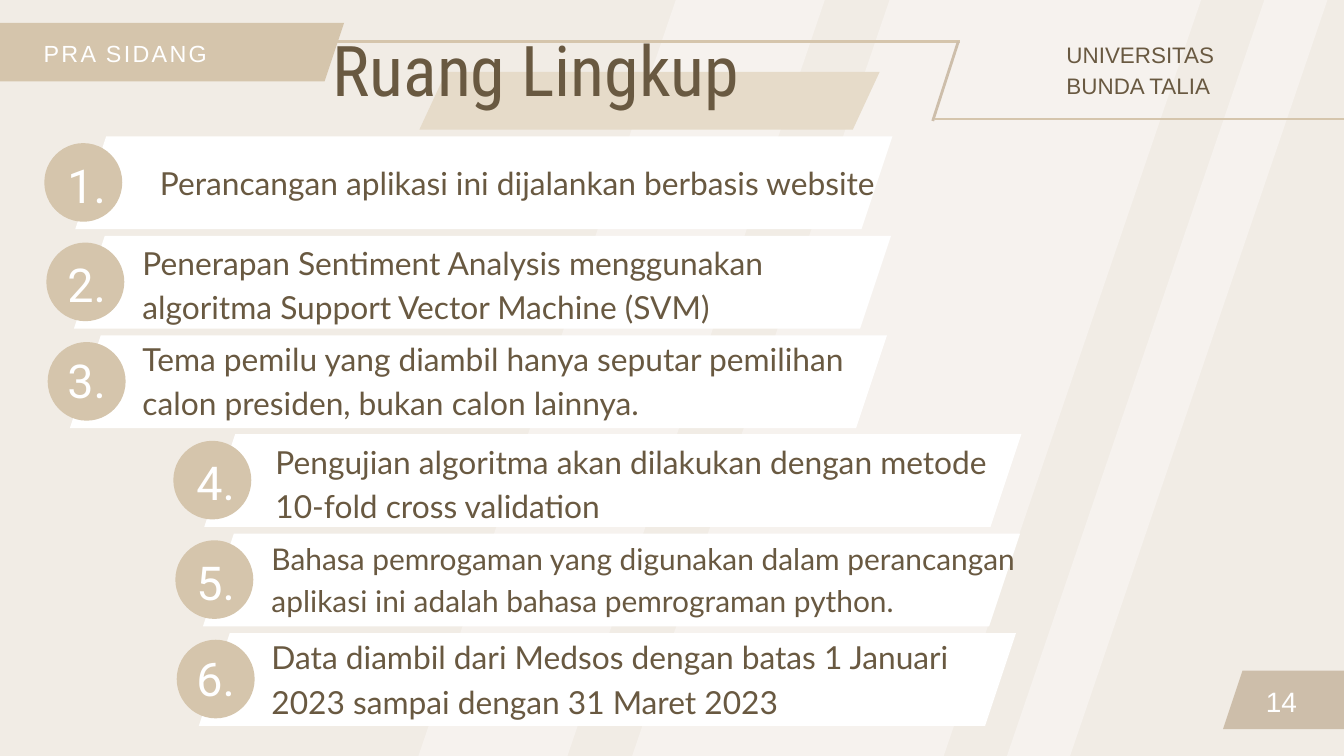
import pptx
import pptx.util
import pptx.dml.color
import pptx.enum.shapes
import pptx.enum.text
import pptx.oxml.ns
import lxml.etree

SHAPES = pptx.enum.shapes.MSO_SHAPE
ALIGN = pptx.enum.text.PP_ALIGN
PX = 9144
BROWN, WHITE, TAN, DARK_TAN = "695941", "FFFFFF", "D5C5AC", "CDBEAA"

STRIPES = [(817, -107, 210, 1357), (1145, -151, 439, 1424), (1696, -149, 89, 1402)]
HEADER_LINES = [
    (486, 62, 1428, 62, TAN),
    (1391, 177, 2038, 177, TAN),
    (1388, 180, 1426, 62, DARK_TAN),
]
ITEMS = [
    ("Perancangan aplikasi ini dijalankan berbasis website", (238, 235, 1067, 64), 34),
    ("Penerapan Sentiment Analysis menggunakan algoritma Support Vector Machine (SVM)",
     (212, 353, 1080, 130), 34),
    ("Tema pemilu yang diambil hanya seputar pemilihan calon presiden, bukan calon lainnya.",
     (212, 496, 1075, 130), 34),
    ("Pengujian algoritma akan dilakukan dengan metode 10-fold cross validation",
     (410, 649, 1067, 130), 34),
    ("Bahasa pemrogaman yang digunakan dalam perancangan aplikasi ini adalah bahasa "
     "pemrograman python.", (404, 796, 1168, 120), 32),
    ("Data diambil dari Medsos dengan batas 1 Januari 2023 sampai dengan 31 Maret 2023",
     (404, 940, 1075, 130), 34),
]
ROWS_PER_GROUP = 3
GROUP_SHIFT = 192
FIRST_TOP, ROW_STEP = 203, 147.8
BAR_LEFTS = [112, 110, 104]
CIRCLE_LEFTS = [66, 69, 71]
NUMBER_OFFSETS = [16, 16, 11]

presentation = pptx.Presentation()
presentation.slide_width = 2000 * PX
presentation.slide_height = 1125 * PX
slide = presentation.slides.add_slide(presentation.slide_layouts[6])


def color(value):
    return pptx.dml.color.RGBColor.from_string(value)


def add_filled(kind, box, fill, rotation=0, slant=None):
    shape = slide.shapes.add_shape(kind, *[value * PX for value in box])
    shape.shadow.inherit = False
    shape.fill.solid()
    shape.fill.fore_color.rgb = color(fill)
    shape.line.fill.background()
    shape.rotation = rotation
    if slant is not None:
        shape.adjustments[0] = slant / box[3]


def add_text(text, box, size, font, fill=BROWN, align=ALIGN.LEFT, tracking=None):
    frame = slide.shapes.add_textbox(*[value * PX for value in box]).text_frame
    frame.word_wrap = True
    frame.auto_size = pptx.enum.text.MSO_AUTO_SIZE.SHAPE_TO_FIT_TEXT
    frame.margin_left = frame.margin_right = frame.margin_top = frame.margin_bottom = 0
    frame.text = text
    for paragraph in frame.paragraphs:
        paragraph.alignment = align
        paragraph.line_spacing = pptx.util.Pt(size * 1.4)
        run = paragraph.runs[0]
        run.font.size = pptx.util.Pt(size)
        run.font.name = font
        run.font.color.rgb = color(fill)
        if tracking:
            run.font._element.set("spc", str(tracking))


def add_line(left, top, right, bottom, fill):
    line = slide.shapes.add_connector(
        pptx.enum.shapes.MSO_CONNECTOR.STRAIGHT,
        left * PX, top * PX, right * PX, bottom * PX)
    line.line.color.rgb = color(fill)
    line.line.width = pptx.util.Pt(3)
    lxml.etree.SubElement(line._element.spPr, pptx.oxml.ns.qn("a:effectLst"))


slide.background.fill.solid()
slide.background.fill.fore_color.rgb = color("F1ECE5")
for stripe in STRIPES:
    add_filled(SHAPES.RECTANGLE, stripe, "F6F2EE", rotation=18.8)

add_filled(SHAPES.PARALLELOGRAM, (624, 107, 685, 86), "E6DBC9", slant=40)
add_text("Ruang Lingkup", (495, 18, 948, 141), 75, "Roboto Condensed")

add_filled(SHAPES.PARALLELOGRAM, (-63, 34, 575, 87), TAN, slant=29)
add_text("PRA SIDANG", (65, 51, 524, 47), 25, "Arial", WHITE, tracking=250)
for header_line in HEADER_LINES:
    add_line(*header_line)
add_text("UNIVERSITAS\nBUNDA TALIA", (1587, 54, 375, 90), 24, "Arial", align=ALIGN.JUSTIFY)

for index, (text, box, size) in enumerate(ITEMS):
    group, row = divmod(index, ROWS_PER_GROUP)
    shift = group * GROUP_SHIFT
    top = round(FIRST_TOP + index * ROW_STEP)
    add_filled(SHAPES.PARALLELOGRAM, (BAR_LEFTS[row] + shift, top, 1216, 138), WHITE, slant=46)
    add_filled(SHAPES.OVAL, (CIRCLE_LEFTS[row] + shift, top + 10, 116, 117), TAN)
    add_text(f"{index + 1}.", (46 + shift, top + NUMBER_OFFSETS[row], 166, 94), 50,
             "Roboto", WHITE, ALIGN.CENTER)
    add_text(text, box, size, "Lato")

add_filled(SHAPES.PARALLELOGRAM, (1820, 998, 258, 87), DARK_TAN, slant=29)
add_text("14", (1783, 1010, 147, 57), 30, "Arial", WHITE, ALIGN.RIGHT)

presentation.save("out.pptx")
